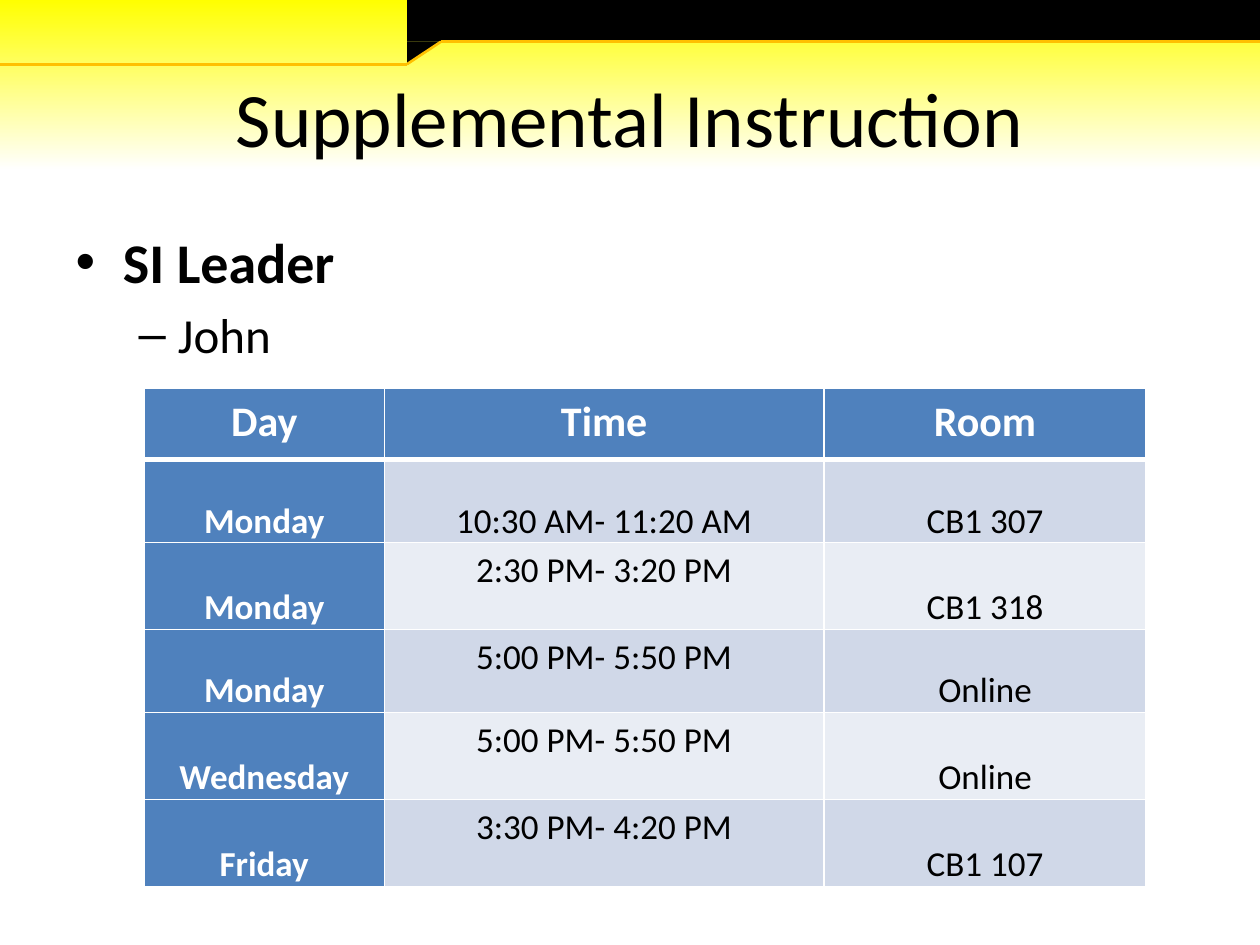
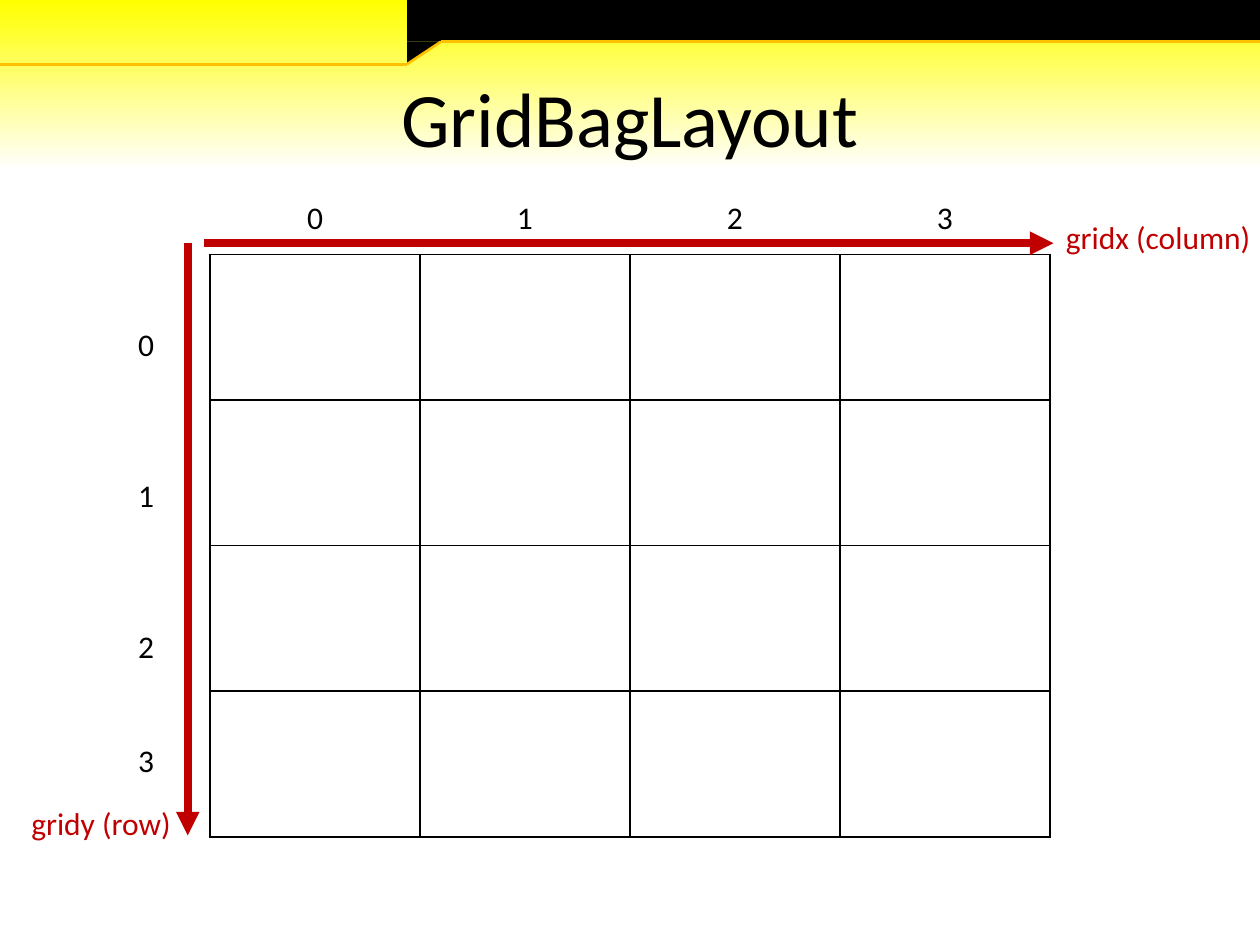
from lxml import etree
from pptx import Presentation
from pptx.dml.color import RGBColor
from pptx.enum.shapes import MSO_CONNECTOR, MSO_SHAPE
from pptx.enum.text import MSO_ANCHOR, PP_ALIGN
from pptx.oxml.ns import qn
from pptx.util import Pt

RECT, TRIANGLE = MSO_SHAPE.RECTANGLE, MSO_SHAPE.ISOSCELES_TRIANGLE
STRAIGHT = MSO_CONNECTOR.STRAIGHT
LEFT, CENTER = PP_ALIGN.LEFT, PP_ALIGN.CENTER
TOP, MIDDLE, BOTTOM = MSO_ANCHOR.TOP, MSO_ANCHOR.MIDDLE, MSO_ANCHOR.BOTTOM

FONT = "Calibri"
BLACK, WHITE, YELLOW, GOLD, RED = "000000", "FFFFFF", "FFFF00", "FFC000", "C00000"
BLUE, BAND_DARK, BAND_LIGHT = "4F81BD", "D0D8E8", "E9EDF4"
PLAIN_TABLE = "{2D5ABB26-0587-4C30-8999-92F81FD0307C}"
WIDTH, HEIGHT = 720, 540
LINE_HEIGHT = 21.6  # one line of 18 pt text

SESSIONS = [
    ("Day", "Time", "Room"),
    ("Monday", "10:30 AM- 11:20 AM", "CB1 307"),
    ("Monday", "2:30 PM- 3:20 PM", "CB1 318"),
    ("Monday", "5:00 PM- 5:50 PM", "Online"),
    ("Wednesday", "5:00 PM- 5:50 PM", "Online"),
    ("Friday", "3:30 PM- 4:20 PM", "CB1 107"),
]


def rgb(color):
    return RGBColor.from_string(color)


def style(p, size, color=BLACK, bold=False, align=LEFT):
    p.alignment = align
    p.font.name, p.font.size, p.font.bold = FONT, Pt(size), bold
    p.font.color.rgb = rgb(color)


def place(shape, *box):
    shape.left, shape.top, shape.width, shape.height = map(Pt, box)


def add_block(s, kind, *box):
    shape = s.shapes.add_shape(kind, *map(Pt, box))
    shape.shadow.inherit = False
    shape.fill.solid()
    shape.fill.fore_color.rgb = rgb(BLACK)
    shape.line.fill.background()
    return shape


def add_line(s, start, end, color, width, arrow=False):
    line = s.shapes.add_connector(STRAIGHT, *map(Pt, start + end))
    line.line.color.rgb = rgb(color)
    line.line.width = Pt(width)
    etree.SubElement(line.element.spPr, qn("a:effectLst"))
    if arrow:
        ln = line.element.spPr.find(qn("a:ln"))
        etree.SubElement(ln, qn("a:tailEnd"), type="triangle")
    return line


def add_text(s, lines, box, color=BLACK, align=LEFT):
    tf = s.shapes.add_textbox(*map(Pt, box)).text_frame
    tf.word_wrap = True
    for i, text in enumerate(lines):
        p = tf.paragraphs[0] if i == 0 else tf.add_paragraph()
        p.text = text
        style(p, 18, color, align=align)
    return tf


def add_table(s, left, top, cols, rows):
    frame = s.shapes.add_table(len(rows), len(cols), Pt(left), Pt(top),
                               Pt(sum(cols)), Pt(sum(rows)))
    table = frame.table
    table.first_row = table.horz_banding = False
    frame.element.find(".//" + qn("a:tableStyleId")).text = PLAIN_TABLE
    for col, width in zip(table.columns, cols):
        col.width = Pt(width)
    for row, height in zip(table.rows, rows):
        row.height = Pt(height)
    return table


def set_borders(cell, color, top=1, bottom=1):
    tcPr = cell._tc.get_or_add_tcPr()
    sides = (("L", 1), ("R", 1), ("T", top), ("B", bottom))
    for i, (side, width) in enumerate(sides):
        ln = etree.Element(qn("a:ln" + side), w=str(Pt(width)))
        fill = etree.SubElement(ln, qn("a:solidFill"))
        etree.SubElement(fill, qn("a:srgbClr"), val=color)
        tcPr.insert(i, ln)


def add_slide(prs, layout, title):
    s = prs.slides.add_slide(prs.slide_layouts[layout])
    place(s.shapes.title, 36, 21.6, 648, 90)
    tf = s.shapes.title.text_frame
    tf.text = title
    tf.vertical_anchor = MIDDLE
    style(tf.paragraphs[0], 44, align=CENTER)
    return s


def decorate_master(prs, s):
    """Draw the top band on a slide, then move it to the master."""
    master = prs.slide_master
    fill = master.background.fill
    fill.gradient()
    fill.gradient_angle = 270
    for stop, (color, position) in zip(fill.gradient_stops, ((YELLOW, 0), (WHITE, 0.18))):
        stop.color.rgb = rgb(color)
        stop.position = position

    step_x, slope_x, upper, lower = 232.6, 252, 23.8, 36.7
    notch = add_block(s, TRIANGLE, step_x, upper, slope_x - step_x, lower - upper)
    notch.adjustments[0] = 1
    notch.rotation = 180
    band = [add_block(s, RECT, step_x, 0, WIDTH - step_x, upper), notch]
    edge = [(0, lower), (step_x, lower), (slope_x, upper), (WIDTH, upper)]
    band += [add_line(s, a, b, GOLD, 1.5) for a, b in zip(edge, edge[1:])]
    for number, shape in enumerate(band, 100):
        shape.element.find(".//" + qn("p:cNvPr")).set("id", str(number))
        master.shapes.element.append(shape.element)


def fill_sessions(table):
    for r, row in enumerate(SESSIONS):
        for c, text in enumerate(row):
            cell = table.cell(r, c)
            heading = r == 0 or c == 0
            cell.text = text
            cell.margin_left = cell.margin_right = Pt(5)
            cell.margin_top = cell.margin_bottom = 0
            at_top = r == 0 or (c == 1 and r > 1)
            cell.vertical_anchor = TOP if at_top else BOTTOM
            p = cell.text_frame.paragraphs[0]
            style(p, 20 if r else 24, WHITE if heading else BLACK, heading, CENTER)
            p.line_spacing = 1.15
            if r:
                p.space_after = Pt(10)
            cell.fill.solid()
            band = BAND_DARK if r % 2 else BAND_LIGHT
            cell.fill.fore_color.rgb = rgb(BLUE if heading else band)
            set_borders(cell, WHITE, top=3 if r == 1 else 1, bottom=1 if r else 3)


def build_instruction(prs):
    s = add_slide(prs, 1, "Supplemental Instruction")
    decorate_master(prs, s)

    # Leader
    body = s.placeholders[1]
    place(body, 36, 126.4, 648, 414)
    tf = body.text_frame
    tf.text = "SI Leader"
    style(tf.paragraphs[0], 32, bold=True)
    p = tf.add_paragraph()
    p.text, p.level = "John", 1
    style(p, 28)

    # Session times
    table = add_table(s, 82.4, 222, (137.2, 251.3, 184),
                      (40.6, 47.4, 49.7, 47.4, 49.7, 49.7))
    fill_sessions(table)


def build_grid(prs):
    s = add_slide(prs, 5, "GridBagLayout")
    left, top, cell_w, cell_h, n = 120, 145.4, 120, 83.2, 4
    axis_x, axis_y = 107.3, 139

    # Grid cells
    grid = add_table(s, left, top, [cell_w] * n, [cell_h] * n)
    for cell in grid.iter_cells():
        cell.fill.background()
        set_borders(cell, BLACK)

    # Column and row numbers
    header = add_table(s, left, 110.2, [cell_w] * n, [29.2])
    for i, cell in enumerate(header.iter_cells()):
        cell.text = str(i)
        cell.fill.background()
        style(cell.text_frame.paragraphs[0], 18, align=CENTER)
    rows = add_text(s, map(str, range(n)),
                    (50.4, axis_y + 2 * LINE_HEIGHT, 66.2, 12 * LINE_HEIGHT), align=CENTER)
    for p, blank_lines in zip(rows.paragraphs[1:], (3, 3, 2)):
        p.space_before = Pt(blank_lines * LINE_HEIGHT)

    # Axes
    add_line(s, (116.6, axis_y), (602, axis_y), RED, 4.5, arrow=True)
    add_text(s, ["gridx (column)"], (602, 121, 131, 29), RED)
    add_line(s, (axis_x, axis_y), (axis_x, 477.4), RED, 4.5, arrow=True)
    add_text(s, ["gridy (row)"], (10.8, 455.8, 139, 29), RED)


def main():
    prs = Presentation()
    prs.slide_width, prs.slide_height = Pt(WIDTH), Pt(HEIGHT)
    build_instruction(prs)
    build_grid(prs)
    prs.save("out.pptx")


if __name__ == "__main__":
    main()
